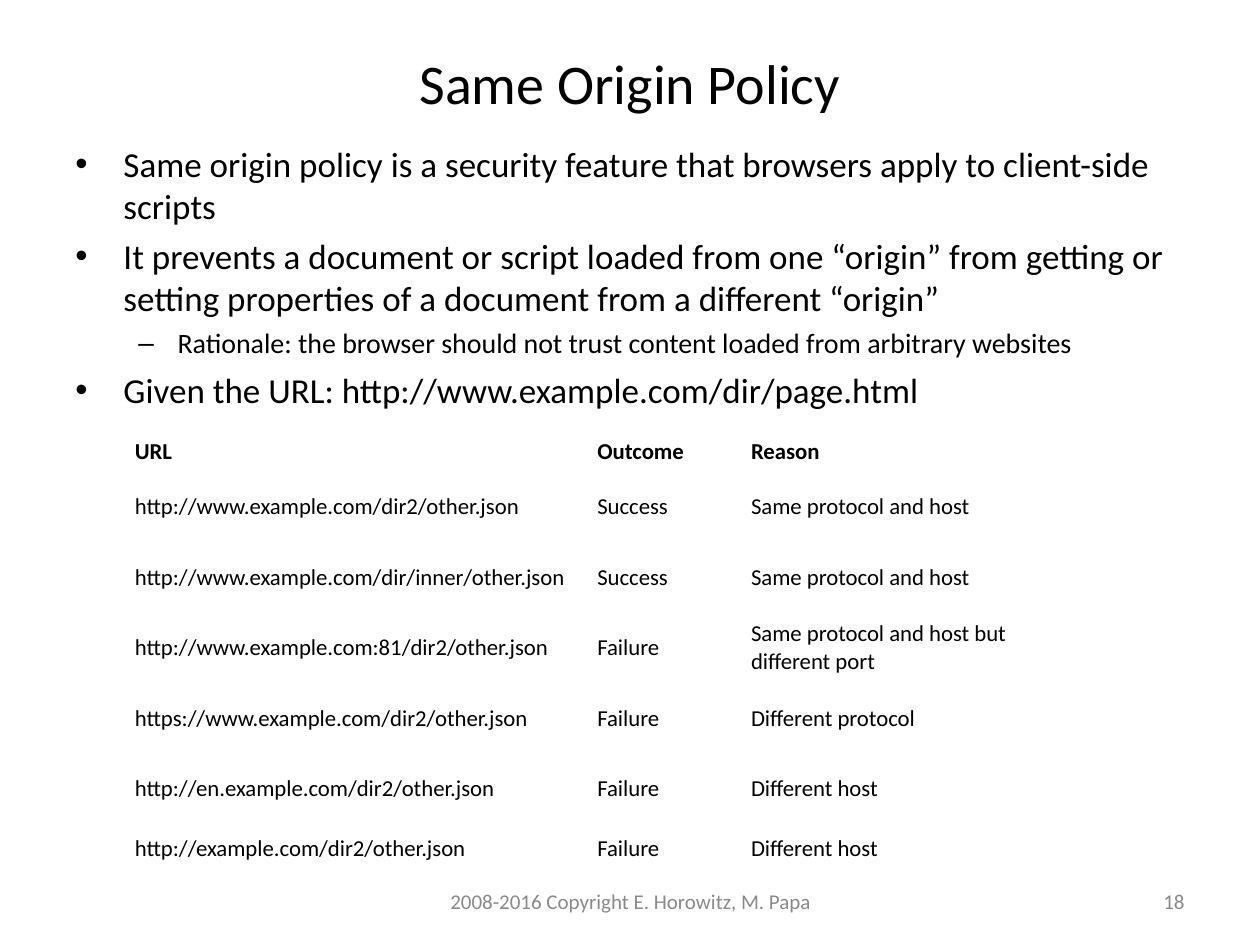
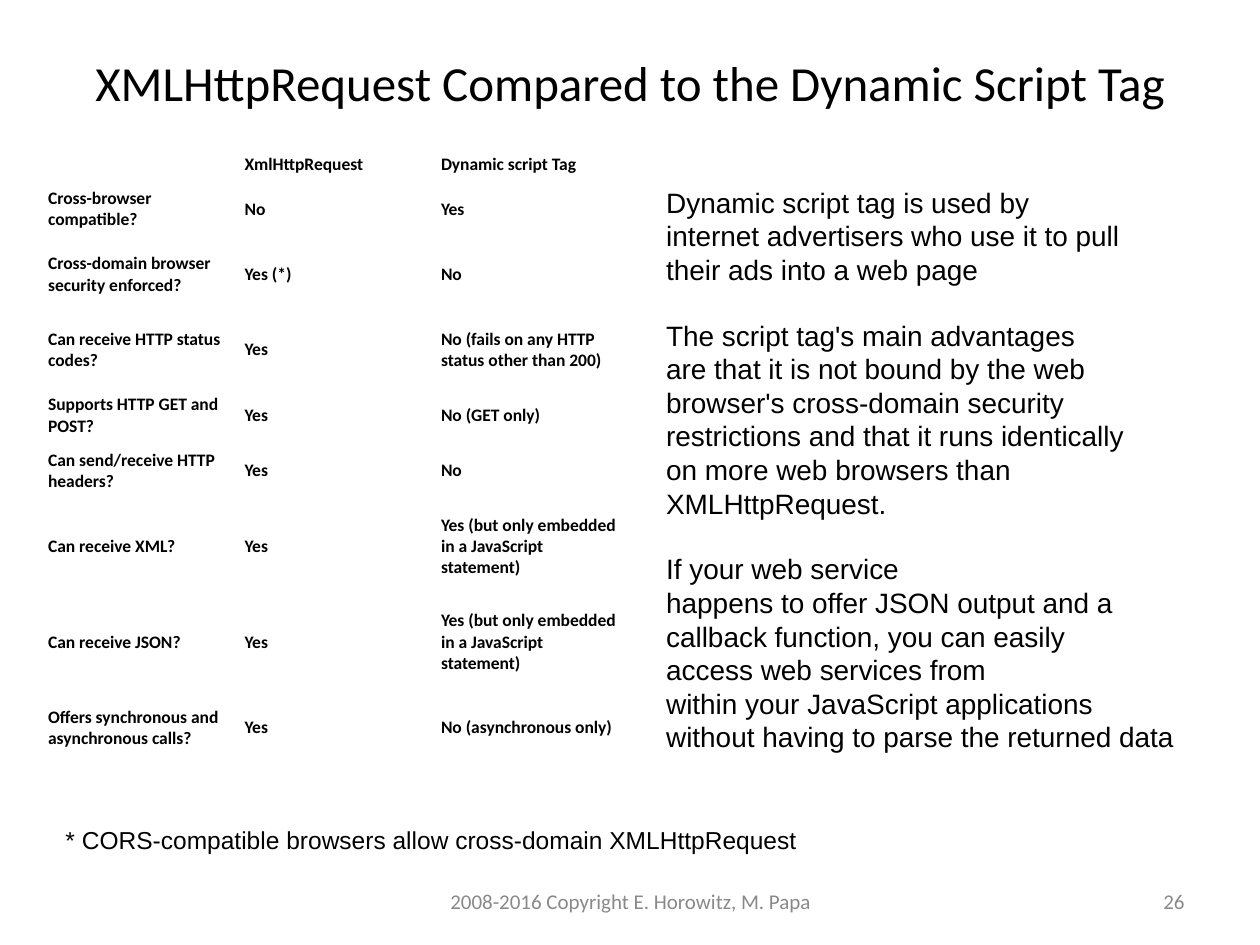
"""Build two slides on the same origin policy and dynamic script tags."""
import dataclasses
import typing

import pptx
import pptx.dml.color
import pptx.enum.text
import pptx.oxml.ns
import pptx.util
from lxml import etree

Cm = pptx.util.Cm
Pt = pptx.util.Pt
ALIGN = pptx.enum.text.PP_ALIGN
ANCHOR = pptx.enum.text.MSO_ANCHOR
FIT = pptx.enum.text.MSO_AUTO_SIZE
qn = pptx.oxml.ns.qn

HUES = {"ink": "000000", "gray": "898989"}
SANS = "Calibri"
PLAIN = "Arial"
CREDIT = "2008-2016 Copyright E. Horowitz, M. Papa"


class Box(typing.NamedTuple):
    left: float
    top: float
    width: float
    height: float

    def lengths(self) -> list:
        return [Cm(side) for side in self]


@dataclasses.dataclass(frozen=True)
class Level:
    mark: str
    size: int
    before: int
    left: float
    hang: float


@dataclasses.dataclass(frozen=True)
class Grid:
    box: Box
    cols: list[float]
    rows: list[float]
    cells: list[list[str]]
    size: int
    side: float
    bold: bool


TITLE = Box(1.27, 0.76, 22.86, 1.78)
BODY = Box(1.27, 2.74, 22.86, 14.27)
FOOTER = Box(8.69, 17.65, 8.05, 1.02)
NUMBER = Box(18.21, 17.65, 5.92, 1.02)
ASIDE = Box(13.18, 3.61, 10.9, 11.76)
NOTE = Box(1.07, 16.51, 20.96, 0.86)

LEVELS = [Level("•", 20, 5, 0.97, 0.97), Level("–", 16, 4, 2.06, 0.79)]

POINTS = [
    (0, "Same origin policy is a security feature that browsers apply to client-side scripts"),
    (0, "It prevents a document or script loaded from one “origin” from getting or "
        "setting properties of a document from a different “origin”"),
    (1, "Rationale: the browser should not trust content loaded from arbitrary websites"),
    (0, "Given the URL: http://www.example.com/dir/page.html"),
]

ORIGINS = Grid(
    Box(2.54, 8.69, 18.62, 8.83),
    [9.32, 3.1, 6.2],
    [0.74] + [1.42] * 5 + [0.99],
    [
        ["URL", "Outcome", "Reason"],
        ["http://www.example.com/dir2/other.json", "Success", "Same protocol and host"],
        ["http://www.example.com/dir/inner/other.json", "Success", "Same protocol and host"],
        ["http://www.example.com:81/dir2/other.json", "Failure",
         "Same protocol and host but different port"],
        ["https://www.example.com/dir2/other.json", "Failure", "Different protocol"],
        ["http://en.example.com/dir2/other.json", "Failure", "Different host"],
        ["http://example.com/dir2/other.json", "Failure", "Different host"],
    ],
    size=13, side=0.18, bold=False,
)

EMBED = "Yes (but only embedded in a JavaScript statement)"
TRAITS = Grid(
    Box(0.84, 2.97, 11.88, 12.24),
    [3.96] * 3,
    [0.61, 1.07, 1.52, 1.52, 1.07, 1.07, 1.93, 1.93, 1.52],
    [
        ["", "XmlHttpRequest", "Dynamic script Tag"],
        ["Cross-browser compatible?", "No", "Yes"],
        ["Cross-domain browser security enforced?", "Yes (*)", "No"],
        ["Can receive HTTP status codes?", "Yes",
         "No (fails on any HTTP status other than 200)"],
        ["Supports HTTP GET and POST?", "Yes", "No (GET only)"],
        ["Can send/receive HTTP headers?", "Yes", "No"],
        ["Can receive XML?", "Yes", EMBED],
        ["Can receive JSON?", "Yes", EMBED],
        ["Offers synchronous and asynchronous calls?", "Yes", "No (asynchronous only)"],
    ],
    size=10, side=0.13, bold=True,
)

BLOCKS = [
    ["Dynamic script tag is used by",
     "internet advertisers who use it to pull",
     "their ads into a web page"],
    ["The script tag's main advantages",
     "are that it is not bound by the web",
     "browser's cross-domain security",
     "restrictions and that it runs identically",
     "on more web browsers than",
     "XMLHttpRequest."],
    ["If your web service",
     "happens to offer JSON output and a",
     "callback function, you can easily",
     "access web services from",
     "within your JavaScript applications",
     "without having to parse the returned data"],
]


def write(frame, text: str, *, size: float, face: str = SANS, hue: str = "ink",
          bold: bool = False, align=ALIGN.LEFT, before: float = 0):
    para = frame.add_paragraph() if frame.text else frame.paragraphs[0]
    para.alignment = align
    para.space_before = Pt(before)
    if not text:
        para._p.get_or_add_endParaRPr().set("sz", str(size * 100))
        return para
    run = para.add_run()
    run.text = text
    font = run.font
    font.size, font.name, font.bold = Pt(size), face, bold
    font.color.rgb = pptx.dml.color.RGBColor.from_string(HUES[hue])
    return para


def frame_at(slide, box: Box, *, anchor=ANCHOR.TOP, wrap: bool = True, fit=FIT.NONE):
    frame = slide.shapes.add_textbox(*box.lengths()).text_frame
    frame.word_wrap = wrap
    frame.auto_size = fit
    frame.vertical_anchor = anchor
    return frame


def bullet(para, depth: int) -> None:
    level = LEVELS[depth]
    para.level = depth
    props = para._p.get_or_add_pPr()
    props.set("marL", str(Cm(level.left)))
    props.set("indent", str(-Cm(level.hang)))
    color = etree.SubElement(props, qn("a:buClr"))
    etree.SubElement(color, qn("a:srgbClr"), val=HUES["ink"])
    etree.SubElement(props, qn("a:buFont"), typeface=PLAIN)
    etree.SubElement(props, qn("a:buChar"), char=level.mark)


def draw_grid(slide, grid: Grid) -> None:
    shape = slide.shapes.add_table(len(grid.rows), len(grid.cols), *grid.box.lengths())
    table = shape.table
    table.first_row = table.horz_banding = False
    for col, width in zip(table.columns, grid.cols):
        col.width = Cm(width)
    for row, height, texts in zip(table.rows, grid.rows, grid.cells):
        row.height = Cm(height)
        for cell, text in zip(row.cells, texts):
            cell.fill.background()
            cell.vertical_anchor = ANCHOR.MIDDLE
            cell.margin_left = cell.margin_right = Cm(grid.side)
            cell.margin_top = cell.margin_bottom = Cm(0.13)
            write(cell.text_frame, text, size=grid.size,
                  bold=grid.bold or texts is grid.cells[0])


def add_slide(deck, title: str, size: int, number: int):
    slide = deck.slides.add_slide(deck.slide_layouts[5])
    head = slide.shapes.title
    head.left, head.top, head.width, head.height = TITLE.lengths()
    head.text_frame.auto_size = FIT.NONE
    head.text_frame.vertical_anchor = ANCHOR.MIDDLE
    write(head.text_frame, title, size=size, align=ALIGN.CENTER)
    for box, text, align in ((FOOTER, CREDIT, ALIGN.CENTER),
                             (NUMBER, str(number), ALIGN.RIGHT)):
        frame = frame_at(slide, box, anchor=ANCHOR.MIDDLE)
        write(frame, text, size=12, hue="gray", align=align)
    return slide


def add_policy(deck) -> None:
    slide = add_slide(deck, "Same Origin Policy", 32, 18)
    body = frame_at(slide, BODY)
    for depth, text in POINTS:
        level = LEVELS[depth]
        bullet(write(body, text, size=level.size, before=level.before), depth)
    draw_grid(slide, ORIGINS)


def add_compare(deck) -> None:
    slide = add_slide(deck, "XMLHttpRequest Compared to the Dynamic Script Tag", 28, 26)
    draw_grid(slide, TRAITS)
    aside = frame_at(slide, ASIDE, wrap=False, fit=FIT.SHAPE_TO_FIT_TEXT)
    for block in BLOCKS:
        for line in block:
            gap = 18.4 if line is block[0] and block is not BLOCKS[0] else 0
            write(aside, line, size=16, face=PLAIN, before=gap)
    note = frame_at(slide, NOTE, fit=FIT.SHAPE_TO_FIT_TEXT)
    write(note, "* CORS-compatible browsers allow cross-domain XMLHttpRequest",
          size=14, face=PLAIN)


def main() -> None:
    deck = pptx.Presentation()
    deck.slide_width, deck.slide_height = Cm(25.4), Cm(19.05)
    add_policy(deck)
    add_compare(deck)
    deck.save("out.pptx")


if __name__ == "__main__":
    main()
